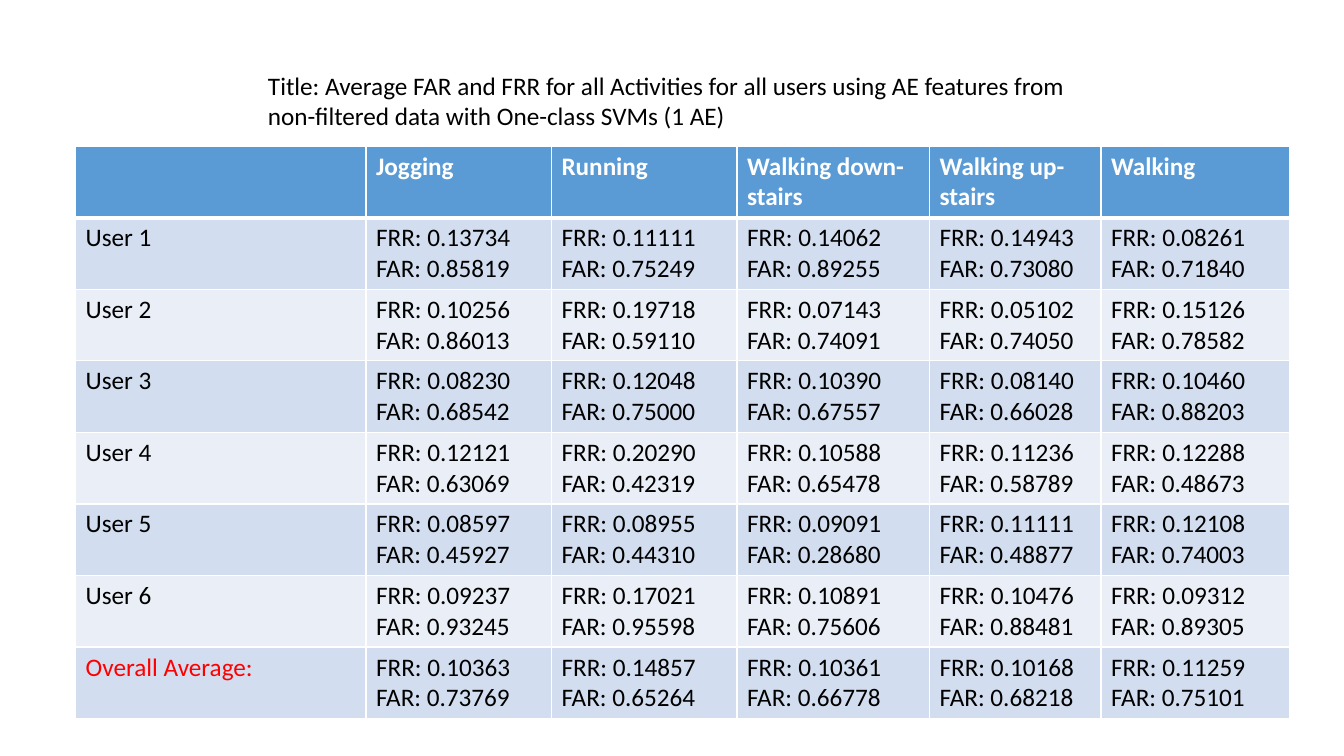
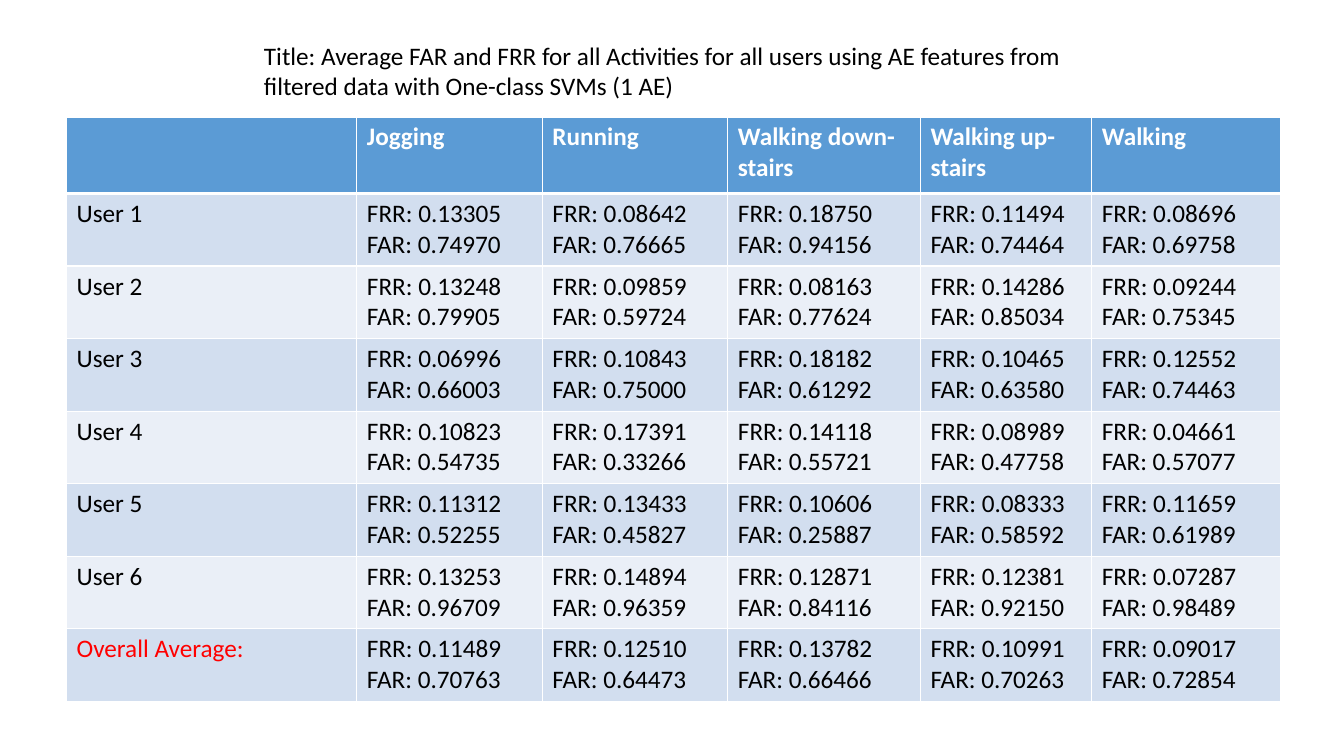
from dataclasses import dataclass

from lxml.etree import SubElement
from pptx import Presentation
from pptx.dml.color import RGBColor
from pptx.enum.text import MSO_AUTO_SIZE as AutoSize
from pptx.oxml.ns import qn
from pptx.slide import Slide
from pptx.table import _Cell as Cell
from pptx.text.text import TextFrame
from pptx.util import Inches, Pt

FONT = "Calibri"
FONT_SIZE = 18
BLACK, WHITE, RED = "000000", "FFFFFF", "FF0000"
HEADER_FILL = "5B9BD5"
BAND_FILLS = ("D2DEEF", "EAEFF7")
THIN, THICK = 1, 3

ACTIVITIES = ("Jogging", "Running", "Walking down-stairs", "Walking up-stairs", "Walking")
AVERAGE_LABEL = "Overall Average:"
ROW_LABELS = (*(f"User {number}" for number in range(1, 7)), AVERAGE_LABEL)
COLUMN_WIDTHS = (2.88, 1.84, 1.84, 1.91, 1.7, 1.87)
TITLE_WIDTH = 8.13


@dataclass(frozen=True)
class ErrorRates:
    """One slide: its layout in inches and (FRR, FAR) pairs by user and activity."""

    data_kind: str
    title_at: tuple[float, float]
    title_height: float
    table_at: tuple[float, float]
    header_height: float
    body_height: float
    rates: tuple[tuple[tuple[float, float], ...], ...]


RESULTS = (
    ErrorRates(
        "non-filtered", (2.56, 0.65), 0.71, (0.75, 1.45), 0.71, 0.71,
        (
            ((0.13734, 0.85819), (0.11111, 0.75249), (0.14062, 0.89255),
             (0.14943, 0.73080), (0.08261, 0.71840)),
            ((0.10256, 0.86013), (0.19718, 0.59110), (0.07143, 0.74091),
             (0.05102, 0.74050), (0.15126, 0.78582)),
            ((0.08230, 0.68542), (0.12048, 0.75000), (0.10390, 0.67557),
             (0.08140, 0.66028), (0.10460, 0.88203)),
            ((0.12121, 0.63069), (0.20290, 0.42319), (0.10588, 0.65478),
             (0.11236, 0.58789), (0.12288, 0.48673)),
            ((0.08597, 0.45927), (0.08955, 0.44310), (0.09091, 0.28680),
             (0.11111, 0.48877), (0.12108, 0.74003)),
            ((0.09237, 0.93245), (0.17021, 0.95598), (0.10891, 0.75606),
             (0.10476, 0.88481), (0.09312, 0.89305)),
            ((0.10363, 0.73769), (0.14857, 0.65264), (0.10361, 0.66778),
             (0.10168, 0.68218), (0.11259, 0.75101)),
        ),
    ),
    ErrorRates(
        "filtered", (2.52, 0.35), 1.01, (0.66, 1.16), 0.76, 0.72,
        (
            ((0.13305, 0.74970), (0.08642, 0.76665), (0.18750, 0.94156),
             (0.11494, 0.74464), (0.08696, 0.69758)),
            ((0.13248, 0.79905), (0.09859, 0.59724), (0.08163, 0.77624),
             (0.14286, 0.85034), (0.09244, 0.75345)),
            ((0.06996, 0.66003), (0.10843, 0.75000), (0.18182, 0.61292),
             (0.10465, 0.63580), (0.12552, 0.74463)),
            ((0.10823, 0.54735), (0.17391, 0.33266), (0.14118, 0.55721),
             (0.08989, 0.47758), (0.04661, 0.57077)),
            ((0.11312, 0.52255), (0.13433, 0.45827), (0.10606, 0.25887),
             (0.08333, 0.58592), (0.11659, 0.61989)),
            ((0.13253, 0.96709), (0.14894, 0.96359), (0.12871, 0.84116),
             (0.12381, 0.92150), (0.07287, 0.98489)),
            ((0.11489, 0.70763), (0.12510, 0.64473), (0.13782, 0.66466),
             (0.10991, 0.70263), (0.09017, 0.72854)),
        ),
    ),
)


def rgb(hex_code: str) -> RGBColor:
    """Turn a hex string into a colour."""
    return RGBColor.from_string(hex_code)


def write(frame: TextFrame, text: str, color: str = BLACK, bold: bool = False) -> None:
    """Set the text of a frame and format all its runs."""
    frame.text = text
    for paragraph in frame.paragraphs:
        for run in paragraph.runs:
            run.font.name = FONT
            run.font.size = Pt(FONT_SIZE)
            run.font.bold = bold
            run.font.color.rgb = rgb(color)


def add_border(cell: Cell, side: str, points: int) -> None:
    """Draw one white cell edge; side is L, R, T or B."""
    properties = cell._tc.get_or_add_tcPr()
    edge = SubElement(properties, qn(f"a:ln{side}"), w=str(Pt(points)))
    fill = SubElement(edge, qn("a:solidFill"))
    SubElement(fill, qn("a:srgbClr"), val=WHITE)


def style_cell(cell: Cell, row: int) -> None:
    """Give a cell its borders and its header or band fill."""
    edges = {
        "L": THIN,
        "R": THIN,
        "T": THICK if row == 1 else THIN,
        "B": THICK if row == 0 else THIN,
    }
    for side, points in edges.items():
        add_border(cell, side, points)
    cell.fill.solid()
    cell.fill.fore_color.rgb = rgb(BAND_FILLS[(row - 1) % 2] if row else HEADER_FILL)


def add_title(slide: Slide, result: ErrorRates) -> None:
    """Write the title above the table."""
    left, top = result.title_at
    frame = slide.shapes.add_textbox(
        Inches(left), Inches(top), Inches(TITLE_WIDTH), Inches(result.title_height)
    ).text_frame
    frame.word_wrap = True
    frame.auto_size = AutoSize.SHAPE_TO_FIT_TEXT
    write(
        frame,
        "Title: Average FAR and FRR for all Activities for all users using AE "
        f"features from {result.data_kind} data with One-class SVMs (1 AE)",
    )


def add_rates_table(slide: Slide, result: ErrorRates) -> None:
    """Draw the table of error rates by user and activity."""
    left, top = result.table_at
    heights = (result.header_height, *(result.body_height for _ in ROW_LABELS))
    table = slide.shapes.add_table(
        len(heights), len(COLUMN_WIDTHS), Inches(left), Inches(top),
        Inches(sum(COLUMN_WIDTHS)), Inches(sum(heights)),
    ).table
    table.horz_banding = False
    for column, width in zip(table.columns, COLUMN_WIDTHS):
        column.width = Inches(width)
    for index, height in enumerate(heights):
        table.rows[index].height = Inches(height)
        for cell in table.rows[index].cells:
            style_cell(cell, index)

    for column, activity in enumerate(ACTIVITIES, start=1):
        write(table.cell(0, column).text_frame, activity, WHITE, bold=True)
    for row, (label, pairs) in enumerate(zip(ROW_LABELS, result.rates), start=1):
        label_color = RED if label == AVERAGE_LABEL else BLACK
        write(table.cell(row, 0).text_frame, label, label_color)
        for column, (frr, far) in enumerate(pairs, start=1):
            write(table.cell(row, column).text_frame, f"FRR: {frr:.5f}\nFAR: {far:.5f}")


def main() -> None:
    """Build and save the presentation."""
    deck = Presentation()
    deck.slide_width, deck.slide_height = Inches(13.33), Inches(7.5)
    blank = deck.slide_layouts[6]
    for result in RESULTS:
        slide = deck.slides.add_slide(blank)
        add_title(slide, result)
        add_rates_table(slide, result)
    deck.save("out.pptx")


main()
